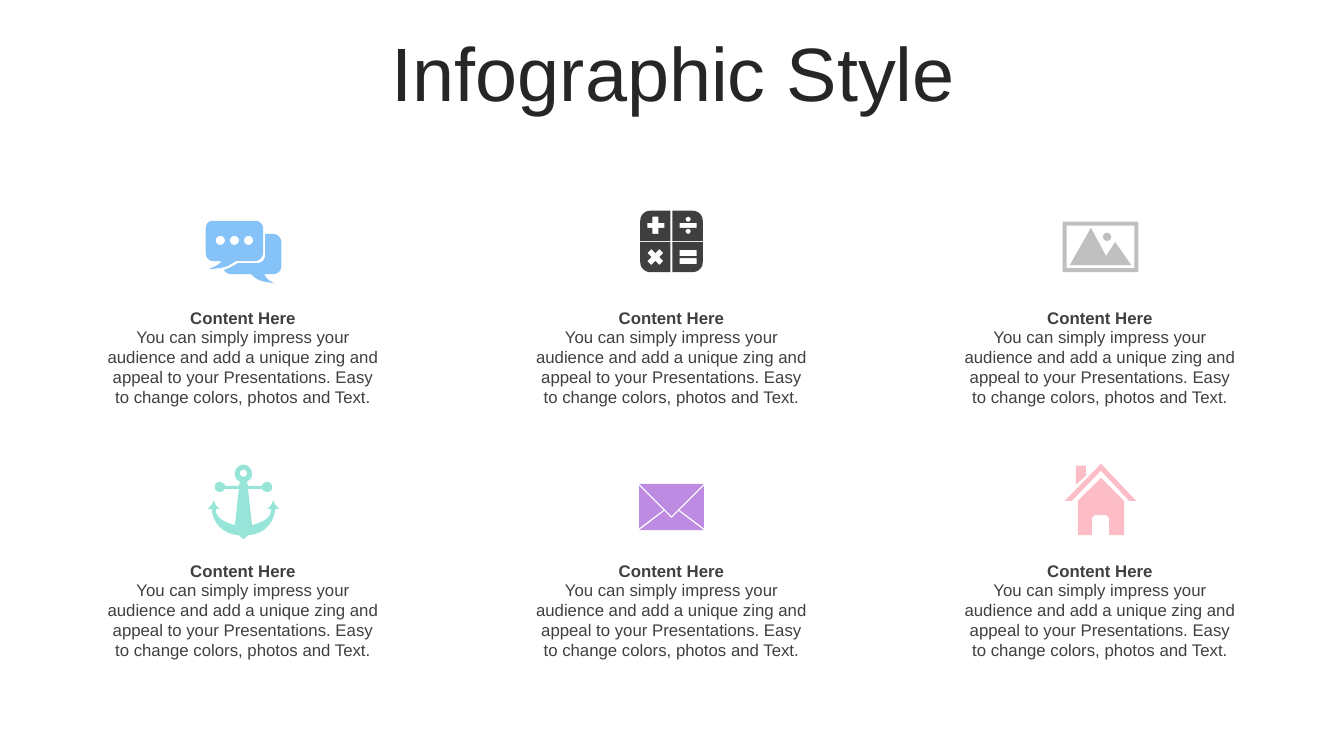
from math import cos, pi, sin

from pptx import Presentation
from pptx.dml.color import RGBColor
from pptx.enum.text import MSO_ANCHOR, MSO_AUTO_SIZE, PP_ALIGN
from pptx.util import Pt

PX = 9144
CENTER = PP_ALIGN.CENTER
TOP, MIDDLE = MSO_ANCHOR.TOP, MSO_ANCHOR.MIDDLE
GROW, FIXED = MSO_AUTO_SIZE.SHAPE_TO_FIT_TEXT, MSO_AUTO_SIZE.NONE
STEPS = 8
BODY = ("You can simply impress your audience and add a unique zing and "
        "appeal to your Presentations. Easy to change colors, photos and Text.")


def rgb(value):
    """Turn a hex string into a colour."""
    return RGBColor.from_string(value)


def trace(text):
    """Read points as x,y; C takes three points as a curve, L goes back to lines."""
    points, controls, curved = [], [], False
    for token in text.split():
        if token in "CL":
            curved = token == "C"
            continue
        point = tuple(int(n) for n in token.split(","))
        if not curved:
            points.append(point)
            continue
        controls.append(point)
        if len(controls) == 3:
            a, (b, c, d) = points[-1], controls
            for i in range(1, STEPS + 1):
                t = i / STEPS
                u = 1 - t
                points.append(tuple(
                    u**3 * a[k] + 3 * u * u * t * b[k] + 3 * u * t * t * c[k] + t**3 * d[k]
                    for k in (0, 1)))
            controls = []
    return points


def box(x, y, w, h):
    """Outline a rectangle."""
    return [(x, y), (x + w, y), (x + w, y + h), (x, y + h)]


def dot(x, y, d):
    """Outline a circle by its top left corner and diameter."""
    r, n = d / 2, 4 * STEPS
    return [(x + r + r * cos(2 * pi * i / n), y + r + r * sin(2 * pi * i / n))
            for i in range(n)]


def flip_x(points, total):
    """Mirror left to right, reversing the order."""
    return [(total - x, y) for x, y in reversed(points)]


def flip_y(points, total):
    """Mirror top to bottom, reversing the order."""
    return [(x, total - y) for x, y in reversed(points)]


def chat():
    """Outline two speech bubbles."""
    back = trace("263,232 271,232 C 275,232 279,236 279,240 L 279,264 "
                 "C 279,269 275,272 271,272 L 262,272 C 264,275 264,277 272,281 "
                 "258,279 255,278 249,272 L 229,272 C 226,272 224,270 222,268 "
                 "227,266 231,264 236,261 L 255,261 C 260,261 263,257 263,253")
    front = trace("211,219 253,219 C 257,219 261,222 261,227 L 261,251 "
                  "C 261,255 257,259 253,259 L 234,259 C 225,265 222,266 207,267 "
                  "216,263 216,263 220,259 L 211,259 C 207,259 204,255 204,251 "
                  "L 204,227 C 204,222 207,219 211,219")
    return [back, front] + [dot(214 + 14 * i, 234, 9) for i in range(3)]


def calculator():
    """Outline four keys with their signs."""
    key = trace("635,239 635,219 C 635,213 640,209 645,209 L 665,209 665,239")
    top = [key, flip_x(key, 1332)]
    plus = trace("647,215 653,215 653,221 659,221 659,226 653,226 "
                 "653,232 647,232 647,226 642,226 642,221 647,221")
    times = trace("646,247 650,251 654,247 658,251 654,255 658,259 "
                  "654,263 650,259 646,263 642,259 646,255 642,251")
    bars = [box(674, y, 17, h) for y, h in ((221, 5), (248, 6), (256, 6))]
    dots = [dot(680, y, 5) for y in (215, 227)]
    return top + [flip_y(k, 479) for k in top] + [plus, times] + bars + dots


def photo():
    """Outline a framed landscape."""
    hills = trace("1082,226 1097,254 1106,240 1122,263 1061,263")
    return [box(1054, 220, 75, 50), box(1058, 224, 67, 42), hills, dot(1094, 231, 8)]


def anchor():
    """Outline an anchor from its right half."""
    half = trace("241,461 C 246,461 250,465 250,470 250,473 249,476 246,477 "
                 "L 245,478 246,482 260,482 260,481 C 261,480 263,478 265,478 "
                 "268,478 270,481 270,483 270,486 268,488 265,488 263,488 261,487 260,485 "
                 "L 246,485 250,521 C 261,518 269,514 269,505 268,505 266,505 265,505 "
                 "268,503 270,500 271,496 272,500 274,502 277,505 276,505 274,505 273,505 "
                 "272,518 263,530 246,531 244,533 243,534 241,535")
    return [half + flip_x(half, 483), dot(238, 466, 7)]


def envelope():
    """Outline the four folds of an envelope."""
    side = trace("634,482 658,506 634,524")
    return [trace("634,480 698,480 666,512"), side, flip_x(side, 1332),
            trace("673,507 698,526 634,526 659,507 666,514")]


def house():
    """Outline a house with roof, chimney and door."""
    walls = trace("1092,474 1115,497 1115,531 1100,531 1100,515 "
                  "C 1100,513 1098,511 1096,511 L 1087,511 "
                  "C 1085,511 1083,513 1083,515 L 1083,531 1069,531 1069,497")
    roof = trace("1092,460 1127,497 1120,497 1092,467 1063,497 1056,497")
    return [walls, roof, trace("1067,462 1077,462 1077,472 1067,481")]


class Deck:
    """Hold the style and the current slide."""

    font = "Arial"

    def __init__(self, w, h):
        """Start a deck with one blank slide."""
        self.prs = Presentation()
        self.prs.slide_width, self.prs.slide_height = w * PX, h * PX
        self.s = self.prs.slides.add_slide(self.prs.slide_layouts[6])

    def text(self, x, y, w, h, words, size=12, color="404040", bold=False,
             anchor=TOP, fit=GROW, spacing=None):
        """Add a centred text box."""
        sp = self.s.shapes.add_textbox(x * PX, y * PX, w * PX, h * PX)
        tf = sp.text_frame
        tf.word_wrap, tf.auto_size, tf.vertical_anchor = True, fit, anchor
        p = tf.paragraphs[0]
        p.alignment, p.line_spacing = CENTER, spacing
        r = p.add_run()
        r.text = words
        r.font.name, r.font.size, r.font.bold = self.font, Pt(size), bold
        r.font.color.rgb = rgb(color)

    def icon(self, outlines, color):
        """Add a filled freeform whose inner outlines are holes."""
        scaled = [[(x * PX, y * PX) for x, y in o] for o in outlines]
        fb = self.s.shapes.build_freeform(*scaled[0][0])
        fb.add_line_segments(scaled[0][1:])
        for first, *rest in scaled[1:]:
            fb.move_to(*first)
            fb.add_line_segments(rest)
        sp = fb.convert_to_shape()
        sp.shadow.inherit = False
        sp.fill.solid()
        sp.fill.fore_color.rgb = rgb(color)
        sp.line.fill.background()


def main():
    """Build the slide."""
    deck = Deck(1333, 750)
    deck.text(35, 37, 1266, 79, "Infographic Style", 54, "262626",
              anchor=MIDDLE, fit=FIXED, spacing=0.9)
    icons = [(chat, "85C2F8"), (calculator, "3F3F3F"), (photo, "BFBFBF"),
             (anchor, "96E5D8"), (envelope, "BE8BE2"), (house, "FDBDC7")]
    for i, (outline, color) in enumerate(icons):
        row, col = divmod(i, 3)
        x, y = 93 + 425 * col, 300 + 251 * row
        deck.text(x + 2, y + 19, 292, 91, BODY)
        deck.text(x, y, 296, 30, "Content Here", bold=True)
        deck.icon(outline(), color)
    deck.prs.save("out.pptx")


if __name__ == "__main__":
    main()
